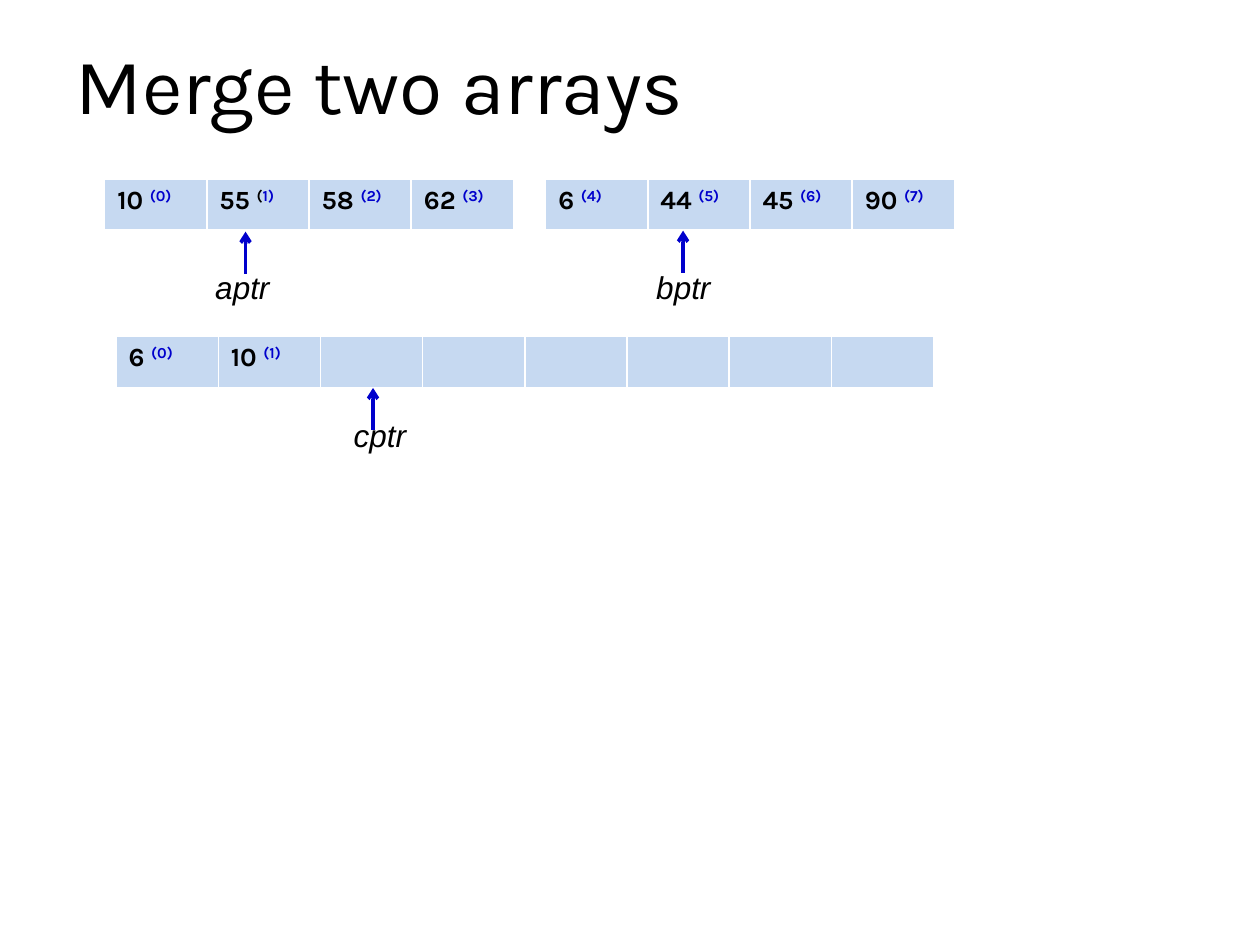
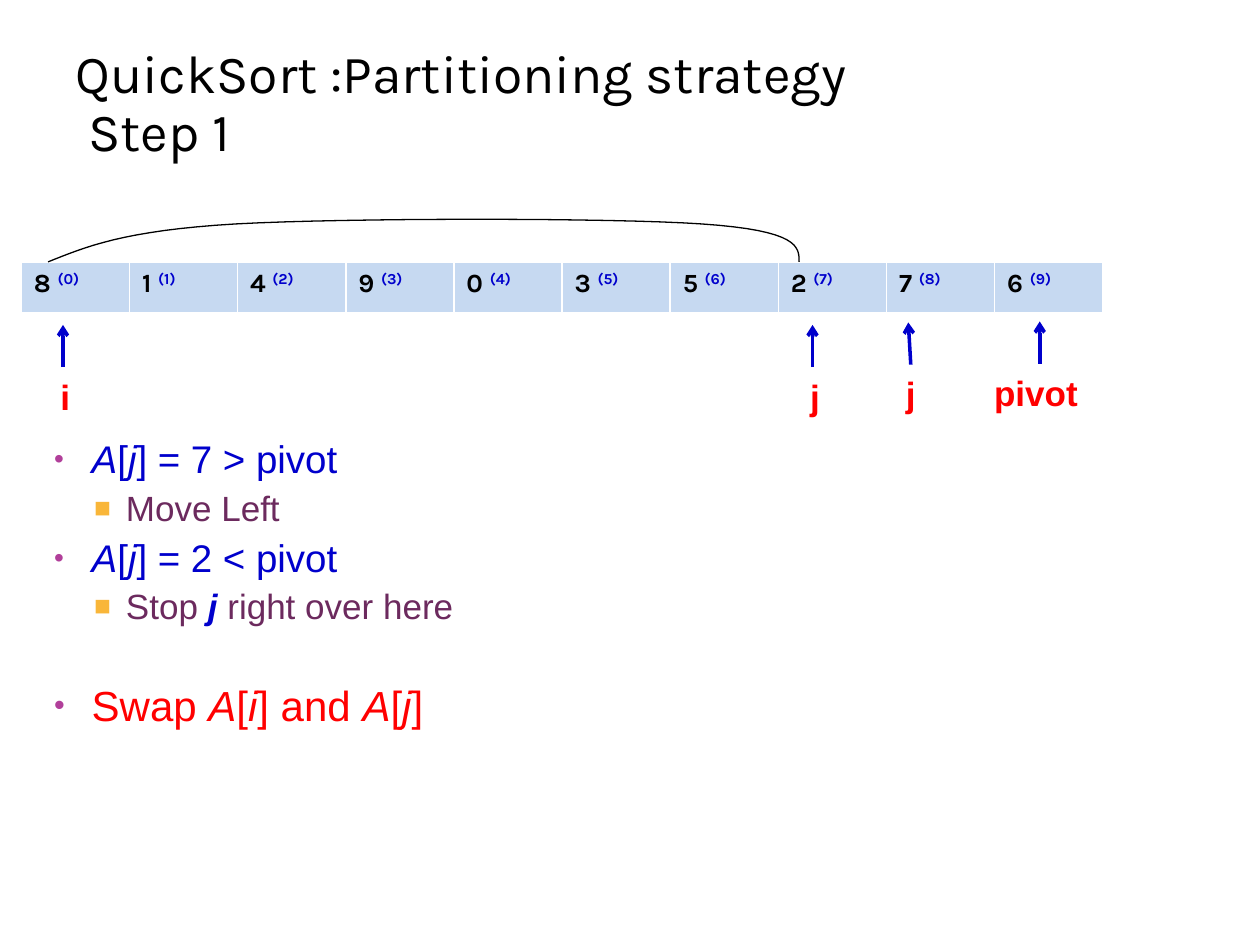
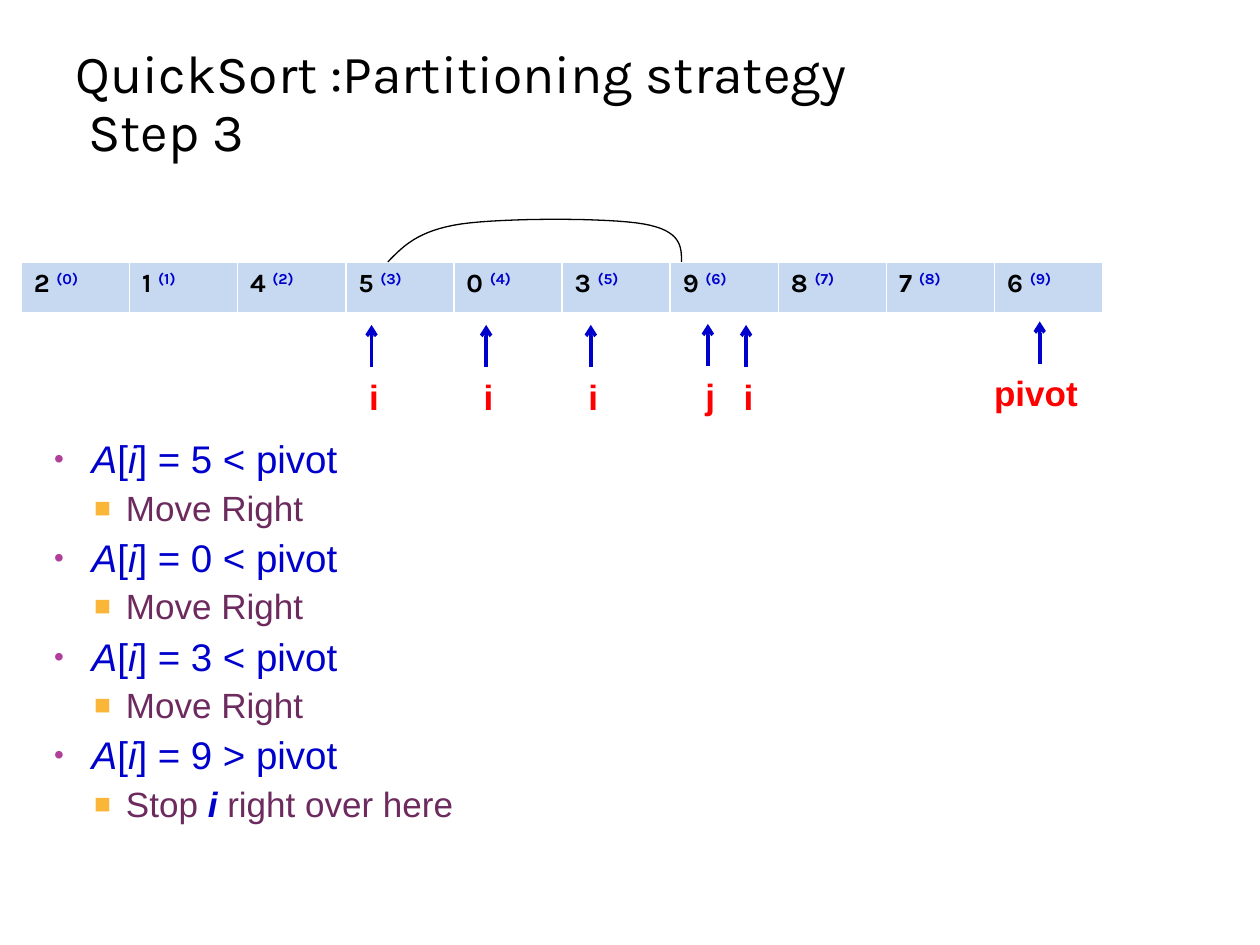
from collections import namedtuple
from dataclasses import dataclass

from lxml import etree
from pptx import Presentation
from pptx import util as u
from pptx.dml.color import RGBColor
from pptx.enum import shapes, text
from pptx.oxml.ns import qn


@dataclass(frozen=True)
class Theme:
    heading_font: str = "Karla"
    body_font: str = "Arial"
    ink: str = "000000"
    blue: str = "0000CC"
    red: str = "FF0000"
    plum: str = "6C2A5E"
    cell: str = "C6D9F1"
    grid: str = "FFFFFF"
    dot: str = "B13F9A"
    square: str = "F9B639"
    title_size: float = 45
    step_title_size: float = 30.6
    value_size: float = 15
    name_size: float = 18
    index_size: float = 20
    point_size: float = 22
    detail_size: float = 20
    action_size: float = 24


T = Theme()

Array = namedtuple("Array", "left top cell_width values first_index dark_bracket",
                   defaults=(0, None))
Pointer = namedtuple("Pointer", "label x tip lean", defaults=(0,))
Label = namedtuple("Label", "width dx dy size color bold italic")
Level = namedtuple("Level", "size color accent accent_bold indent hanging before bullet bullet_color bullet_pct")

# Positions and lengths are in centimetres.
INDEX_STYLE = (T.index_size, T.red, True, False)
NAME_STYLE = (T.name_size, T.ink, False, True)
LABELS = {
    "i": Label(0.72, -0.3, 0.89, *INDEX_STYLE),
    "j": Label(0.72, -0.3, 0.89, *INDEX_STYLE),
    "pivot": Label(2.3, -1.17, 0.89, *INDEX_STYLE),
    "aptr": Label(1.65, -0.86, 0.61, *NAME_STYLE),
    "bptr": Label(1.65, -0.79, 0.63, *NAME_STYLE),
    "cptr": Label(1.6, -0.64, 0.44, *NAME_STYLE),
}
LEVELS = {
    "point": Level(T.point_size, T.blue, T.blue, False, 0.76, 0.76, 6, "•", T.dot, 73),
    "detail": Level(T.detail_size, T.plum, T.blue, True, 1.45, 0.64, 5, "■", T.square, 80),
    "action": Level(T.action_size, T.red, T.red, False, 0.76, 0.76, 33, "•", T.dot, 73),
}
PIVOT = Pointer("pivot", 20.96, 6.48)

MERGE = {
    "title": "Merge two arrays",
    "arrays": [
        Array(2.34, 6.78, 2.06, ["6", "10"] + [""] * 6),
        Array(2.11, 3.61, 2.06, ["10", "55", "58", "62"], dark_bracket=1),
        Array(11, 3.61, 2.06, ["6", "44", "45", "90"], first_index=4),
    ],
    "pointers": [Pointer("aptr", 4.95, 4.67), Pointer("bptr", 13.77, 4.65),
                 Pointer("cptr", 7.52, 7.82)],
}
# Asterisks enclose the emphasised variables.
STEPS = [
    {
        "step": "Step 1",
        "values": "8149035276",
        "pointers": [Pointer("i", 1.27, 6.55), Pointer("j", 18.31, 6.5, 0.05),
                     PIVOT, Pointer("j", 16.38, 6.55)],
        "swap": (0.97, 15.14),
        "notes_size": (21.8, 6.68),
        "notes": [
            ("point", "*A*[*j*] = 7 > pivot"),
            ("detail", "Move Left"),
            ("point", "*A*[*j*] = 2 < pivot"),
            ("detail", "Stop *j *right over here"),
            ("action", "Swap *A*[*i*] and *A*[*j*]"),
        ],
    },
    {
        "step": "Step 3",
        "values": "2145039876",
        "pointers": [PIVOT, Pointer("i", 7.49, 6.55), Pointer("j", 14.27, 6.53),
                     Pointer("i", 9.8, 6.55), Pointer("i", 11.91, 6.55),
                     Pointer("i", 15.04, 6.55)],
        "swap": (7.82, 5.92),
        "notes_size": (9.1, 8.18),
        "notes": [
            ("point", "*A*[*i*] = 5 < pivot"),
            ("detail", "Move Right"),
            ("point", "*A*[*i*] = 0 < pivot"),
            ("detail", "Move Right"),
            ("point", "*A*[*i*] = 3 < pivot"),
            ("detail", "Move Right"),
            ("point", "*A*[*i*] = 9 > pivot"),
            ("detail", "Stop *i* right over here"),
        ],
    },
]

CELL_HEIGHT = 1.06
ARROW_LENGTH = 0.85
ARC_TOP, ARC_HEIGHT = 4.39, 0.89
# Bezier segments of the swap arc, as shares of its width and height.
ARC = [
    [(0, 1), (0.05, 0.66), (0.1, 0.29), (0.25, 0.14)],
    [(0.25, 0.14), (0.4, 0), (0.75, 0), (0.87, 0.14)],
    [(0.87, 0.14), (1, 0.29), (1, 0.66), (1, 1)],
]
ARC_STEPS = 16


def rgb(color):
    return RGBColor.from_string(color)


def style(font, name, size, bold=False, italic=False):
    font.name, font.size, font.bold, font.italic = name, u.Pt(size), bold, italic


def add_run(paragraph, words, color):
    run = paragraph.add_run()
    run.text = words
    run.font.color.rgb = rgb(color)
    return run


def add_frame(slide, left, top, width, height, wrap=True):
    box = slide.shapes.add_textbox(u.Cm(left), u.Cm(top), u.Cm(width), u.Cm(height))
    box.text_frame.word_wrap = wrap
    return box.text_frame


def add_title(slide, lines, top, size):
    frame = add_frame(slide, 1.27, top, 20.12, 2.34)
    frame.vertical_anchor = text.MSO_ANCHOR.BOTTOM
    title = frame.paragraphs[0]
    title.line_spacing = 0.9
    style(title.font, T.heading_font, size)
    for number, line in enumerate(lines):
        if number:
            title.add_line_break()
        add_run(title, line, T.ink)


def set_borders(cell):
    properties = cell._tc.get_or_add_tcPr()
    for side, points in (("L", 1), ("R", 1), ("T", 1), ("B", 3)):
        edge = etree.SubElement(properties, qn(f"a:ln{side}"), w=str(u.Pt(points)))
        fill = etree.SubElement(edge, qn("a:solidFill"))
        etree.SubElement(fill, qn("a:srgbClr"), val=T.grid)


def add_array(slide, array):
    count = len(array.values)
    table = slide.shapes.add_table(
        1, count, u.Cm(array.left), u.Cm(array.top),
        u.Cm(array.cell_width * count), u.Cm(CELL_HEIGHT)).table
    table.first_row = table.horz_banding = False
    for place, value in enumerate(array.values):
        table.columns[place].width = u.Cm(array.cell_width)
        cell = table.cell(0, place)
        set_borders(cell)
        cell.fill.solid()
        cell.fill.fore_color.rgb = rgb(T.cell)
        entry = cell.text_frame.paragraphs[0]
        style(entry.font, T.heading_font, T.value_size, bold=True)
        if not value:
            continue
        add_run(entry, f"{value} ", T.ink)
        index = f"{array.first_index + place})"
        if place == array.dark_bracket:
            parts = [("(", T.ink), (index, T.blue)]
        else:
            parts = [("(" + index, T.blue)]
        for words, color in parts:
            raised = add_run(entry, words, color)
            raised._r.get_or_add_rPr().set("baseline", "30000")


def add_pointer(slide, pointer):
    """Draw an upward arrow and the label below it."""
    arrow = slide.shapes.add_connector(
        shapes.MSO_CONNECTOR.STRAIGHT,
        u.Cm(pointer.x + pointer.lean), u.Cm(pointer.tip + ARROW_LENGTH),
        u.Cm(pointer.x), u.Cm(pointer.tip))
    arrow.line.color.rgb = rgb(T.blue)
    arrow.line.width = u.Pt(2)
    etree.SubElement(arrow.line._get_or_add_ln(), qn("a:tailEnd"), type="arrow")
    etree.SubElement(arrow._element.spPr, qn("a:effectLst"))

    label = LABELS[pointer.label]
    frame = add_frame(slide, pointer.x + label.dx, pointer.tip + label.dy,
                      label.width, label.size * 0.055, wrap=False)
    frame.auto_size = text.MSO_AUTO_SIZE.SHAPE_TO_FIT_TEXT
    name = frame.paragraphs[0]
    style(name.font, T.body_font, label.size, label.bold, label.italic)
    add_run(name, pointer.label, label.color)


def bezier(controls, t):
    weights = ((1 - t) ** 3, 3 * t * (1 - t) ** 2, 3 * t * t * (1 - t), t ** 3)
    return tuple(sum(w * c[axis] for w, c in zip(weights, controls)) for axis in (0, 1))


def add_swap_arc(slide, left, width):
    shares = [ARC[0][0]] + [bezier(segment, step / ARC_STEPS)
                            for segment in ARC for step in range(1, ARC_STEPS + 1)]
    points = [(u.Cm(left + x * width), u.Cm(ARC_TOP + y * ARC_HEIGHT)) for x, y in shares]
    builder = slide.shapes.build_freeform(*points[0])
    builder.add_line_segments(points[1:], close=False)
    arc = builder.convert_to_shape()
    arc.shadow.inherit = False
    arc.fill.background()
    arc.line.color.rgb = rgb(T.ink)
    arc.line.width = u.Pt(0.75)


def set_bullet(paragraph, level):
    properties = paragraph._p.get_or_add_pPr()
    properties.set("marL", str(u.Cm(level.indent)))
    properties.set("indent", str(-u.Cm(level.hanging)))
    # Bullet elements go ahead of the paragraph's default font.
    bullet_color = etree.Element(qn("a:buClr"))
    etree.SubElement(bullet_color, qn("a:srgbClr"), val=level.bullet_color)
    for part in (bullet_color,
                 etree.Element(qn("a:buSzPct"), val=str(level.bullet_pct * 1000)),
                 etree.Element(qn("a:buFont"), typeface=T.body_font),
                 etree.Element(qn("a:buChar"), char=level.bullet)):
        properties.append(part)


def add_notes(slide, notes, size):
    frame = add_frame(slide, 0.84, 8.76, *size)
    for number, (kind, words) in enumerate(notes):
        level = LEVELS[kind]
        note = frame.add_paragraph() if number else frame.paragraphs[0]
        note.level = int(kind == "detail")
        note.line_spacing = 0.9
        note.space_before = u.Pt(level.before)
        set_bullet(note, level)
        note.font.name, note.font.size = T.body_font, u.Pt(level.size)
        for part, piece in enumerate(words.split("*")):
            if not piece:
                continue
            accented = part % 2 == 1
            run = add_run(note, piece, level.accent if accented else level.color)
            run.font.italic = accented
            run.font.bold = accented and level.accent_bold


def main():
    deck = Presentation()
    deck.slide_width, deck.slide_height = u.Cm(25.4), u.Cm(19.05)
    blank = deck.slide_layouts[6]

    merge = deck.slides.add_slide(blank)
    add_title(merge, [MERGE["title"]], 0.43, T.title_size)
    for array in MERGE["arrays"]:
        add_array(merge, array)
    for pointer in MERGE["pointers"]:
        add_pointer(merge, pointer)

    for step in STEPS:
        slide = deck.slides.add_slide(blank)
        add_title(slide, ["QuickSort :Partitioning strategy ", " " + step["step"]],
                  1.07, T.step_title_size)
        add_array(slide, Array(0.43, 5.28, 2.18, step["values"]))
        add_notes(slide, step["notes"], step["notes_size"])
        for pointer in step["pointers"]:
            add_pointer(slide, pointer)
        add_swap_arc(slide, *step["swap"])

    deck.save("out.pptx")


if __name__ == "__main__":
    main()
